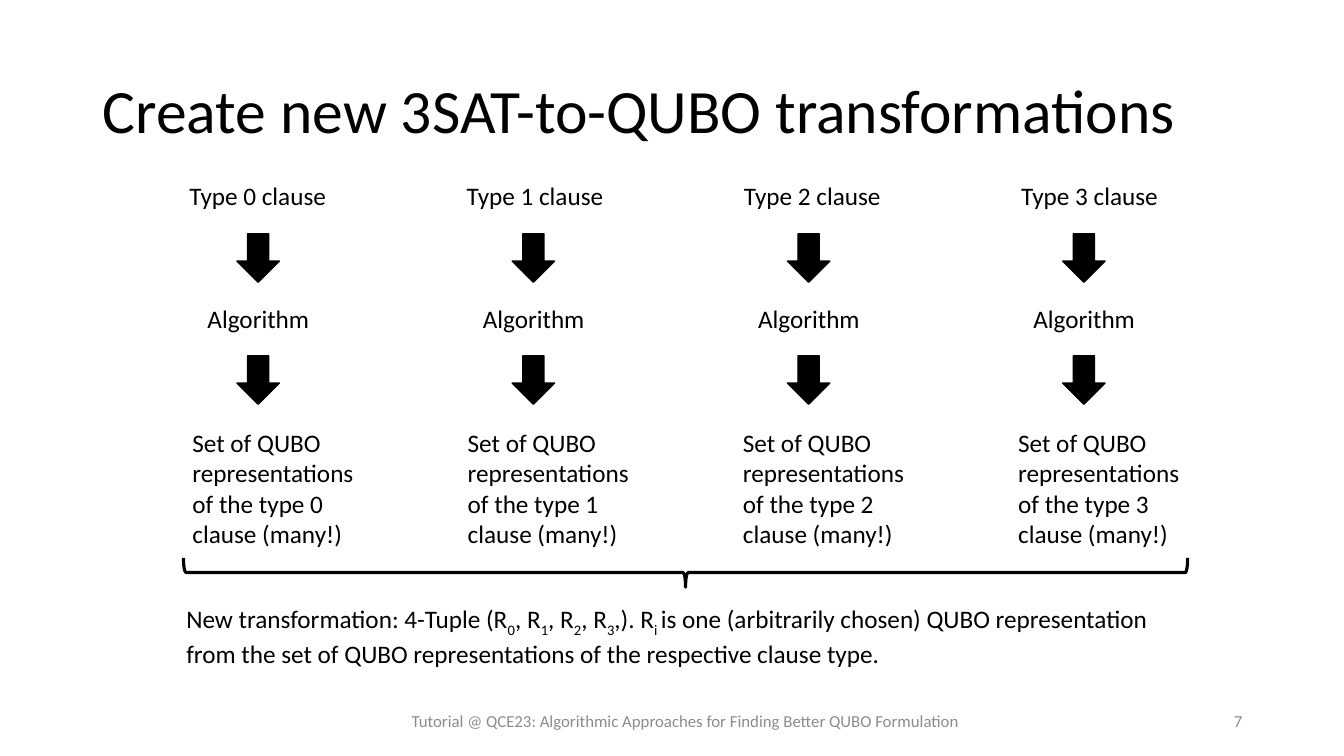
from pptx import Presentation
from pptx import util as u
from pptx.dml.color import RGBColor
from pptx.enum import shapes, text

COLORS = {"ink": "000000", "footer": "8C8C8C"}
FONT = "Calibri"
LEFT, CENTER, RIGHT = text.PP_ALIGN.LEFT, text.PP_ALIGN.CENTER, text.PP_ALIGN.RIGHT
TOP, MIDDLE = text.MSO_ANCHOR.TOP, text.MSO_ANCHOR.MIDDLE


def inches(box):
    """Turn a box of plain numbers into lengths."""
    return [u.Inches(v) for v in box]


def add_text(s, box, runs, size=18, color="ink", align=LEFT, anchor=TOP, spacing=None):
    """Add a text box; runs are (text, is_subscript) pairs."""
    tf = s.shapes.add_textbox(*inches(box)).text_frame
    tf.word_wrap = True
    tf.vertical_anchor = anchor
    p = tf.paragraphs[0]
    p.alignment = align
    if spacing:
        p.line_spacing = spacing
    for words, is_subscript in runs:
        r = p.add_run()
        r.text = words
        r.font.name = FONT
        r.font.size = u.Pt(size)
        r.font.color.rgb = RGBColor.from_string(COLORS[color])
        if is_subscript:
            r._r.get_or_add_rPr().set("baseline", "-25000")


def add_outlined(s, kind, box, width):
    """Add a preset shape with an ink outline and no shadow."""
    sp = s.shapes.add_shape(kind, *inches(box))
    sp.shadow.inherit = False
    sp.line.color.rgb = RGBColor.from_string(COLORS["ink"])
    sp.line.width = u.Pt(width)
    return sp


def add_down_arrow(s, x, y):
    """Add a solid arrow leading to the next step."""
    sp = add_outlined(s, shapes.MSO_SHAPE.DOWN_ARROW, (x, y, 0.42, 0.48), 1)
    sp.fill.solid()
    sp.fill.fore_color.rgb = RGBColor.from_string(COLORS["ink"])


def add_pipelines(s, x, y):
    """Add four columns from clause type to its set of representations."""
    for i in range(4):
        left = x + i * 2.73
        add_text(s, (x + i * 2.75, y, 1.99, 0.4), [(f"Type {i} clause", False)])
        add_down_arrow(s, left + 0.57, y + 0.58)
        add_text(s, (left + 0.18, y + 1.22, 1.23, 0.4), [("Algorithm", False)])
        add_down_arrow(s, left + 0.57, y + 1.79)
        result = f"Set of QUBO representations of the type {i} clause (many!)"
        add_text(s, (left + 0.03, y + 2.45, 1.99, 1.31), [(result, False)])


def add_conclusion(s, x, y, w):
    """Add the brace below the columns and the resulting 4-tuple."""
    thick, span = 0.29, 9.96
    mid_x, mid_y = x + w / 2, y + 0.14
    brace = add_outlined(s, shapes.MSO_SHAPE.LEFT_BRACE,
                         (mid_x - thick / 2, mid_y - span / 2, thick, span), 2.25)
    brace.fill.background()
    brace.rotation = 270
    runs = [("New transformation: 4-Tuple (R", False), ("0", True)]
    for i in range(1, 4):
        runs += [(", R", False), (str(i), True)]
    runs += [(",). R", False), ("i ", True),
             ("is one (arbitrarily chosen) QUBO representation from the set of "
              "QUBO representations of the respective clause type.", False)]
    add_text(s, (x, y + 0.4, w, 0.71), runs)


def add_footer(s, y):
    """Add the event line and the slide number."""
    event = "Tutorial @ QCE23: Algorithmic Approaches for Finding Better QUBO Formulation"
    for x, w, words, align in ((9.42, 3, "7", RIGHT), (3.66, 6.28, event, CENTER)):
        add_text(s, (x, y, w, 0.4), [(words, False)], 12, "footer", align, MIDDLE)


prs = Presentation()
prs.slide_width, prs.slide_height = inches((13.33, 7.5))
s = prs.slides.add_slide(prs.slide_layouts[6])
add_text(s, (0.92, 0.4, 11.5, 1.45), [("Create new 3SAT-to-QUBO transformations", False)],
         44, anchor=MIDDLE, spacing=0.9)
add_pipelines(s, 1.78, 1.74)
add_conclusion(s, 1.75, 5.54, 10.1)
add_footer(s, 6.95)
prs.save("out.pptx")
